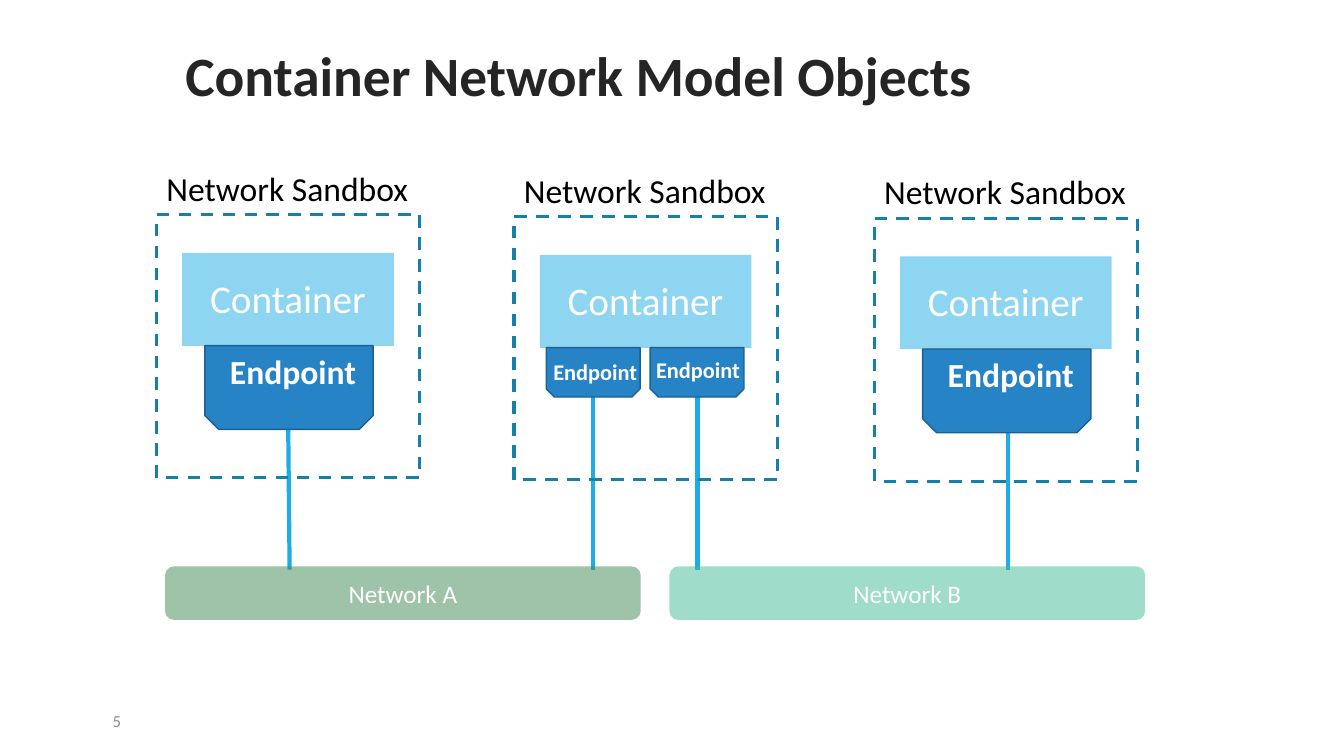
"""Build the slide on container network model objects."""
import dataclasses
import typing

import lxml.etree
import pptx
import pptx.dml.color
import pptx.enum.dml
import pptx.enum.shapes
import pptx.enum.text
import pptx.oxml.ns
import pptx.util

Pt = pptx.util.Pt
RGBColor = pptx.dml.color.RGBColor
Shape = pptx.enum.shapes.MSO_SHAPE
Align = pptx.enum.text.PP_ALIGN
Anchor = pptx.enum.text.MSO_ANCHOR

FONT = "Calibri"
WHITE = RGBColor(0xFF, 0xFF, 0xFF)
BLACK = RGBColor(0x00, 0x00, 0x00)
TITLE_INK = RGBColor(0x25, 0x25, 0x25)
NUMBER_INK = RGBColor(0x8C, 0x8C, 0x8C)
SKY = RGBColor(0x1C, 0xAD, 0xE4)
DASH_BLUE = RGBColor(0x15, 0x80, 0xA9)
ENDPOINT_BLUE = RGBColor(0x26, 0x83, 0xC6)
ENDPOINT_EDGE = RGBColor(0x1C, 0x61, 0x92)
GREEN = RGBColor(0x3E, 0x88, 0x53)
TEAL = RGBColor(0x42, 0xBA, 0x97)

SANDBOX_SIDE = 188
ENDPOINT_DROP = 93.5
LABEL_WIDTH = 126
WIRE_END = 406.8


@dataclasses.dataclass(frozen=True)
class Frame:
    """A rectangle in points."""
    left: float
    top: float
    width: float
    height: float

    def lengths(self) -> list[pptx.util.Length]:
        """Return the four lengths for a shape call."""
        return [Pt(value) for value in dataclasses.astuple(self)]


@dataclasses.dataclass(frozen=True)
class Style:
    """The look of a run and its place in the box."""
    size: float
    color: RGBColor = WHITE
    bold: bool = False
    align: Align = Align.CENTER
    anchor: Anchor = Anchor.MIDDLE
    spacing: float = 1.0


@dataclasses.dataclass(frozen=True)
class Endpoint:
    """An endpoint and its label, offset from the sandbox corner."""
    left: float
    width: float
    height: float
    label_left: float
    label_drop: float
    label_height: float
    size: float


@dataclasses.dataclass(frozen=True)
class Sandbox:
    """A sandbox corner with its endpoints."""
    left: float
    top: float
    endpoints: tuple[Endpoint, ...]


@dataclasses.dataclass(frozen=True)
class Wire:
    """A line from an endpoint to a network."""
    begin_left: float
    begin_top: float
    end_left: float


@dataclasses.dataclass(frozen=True)
class Network:
    """A network bar."""
    name: str
    left: float
    color: RGBColor


LARGE = Endpoint(34.5, 120.2, 59.8, 34.5, 0, 36, 24)
SMALL_LEFT = Endpoint(23, 67, 35.3, -5, 3.6, 26.6, 16)
SMALL_RIGHT = dataclasses.replace(
    SMALL_LEFT, left=97.2, label_left=68.4, label_drop=2.2)

SANDBOXES = (
    Sandbox(367.2, 154.8, (SMALL_LEFT, SMALL_RIGHT)),
    Sandbox(111.8, 153.4, (LARGE,)),
    Sandbox(624.5, 155.8, (LARGE,)),
)
WIRES = (
    Wire(720, 301, 720),
    Wire(205.9, 306.7, 206.9),
    Wire(423.6, 283.7, 423.6),
    Wire(498.2, 283.7, 498.2),
)
NETWORKS = (Network("Network A", 117.9, GREEN), Network("Network B", 478.2, TEAL))

TITLE = Style(39.6, TITLE_INK, bold=True, align=Align.LEFT, spacing=0.9)
NUMBER = Style(12, NUMBER_INK, align=Align.RIGHT)
SANDBOX_NAME = Style(24, BLACK, align=Align.LEFT, anchor=Anchor.TOP)
CONTAINER_NAME = Style(28, anchor=Anchor.TOP)
NETWORK_NAME = Style(18)


def write(box: typing.Any, text: str, style: Style) -> None:
    """Put one styled run into a box."""
    frame = box.text_frame
    frame.word_wrap = True
    frame.vertical_anchor = style.anchor
    para = frame.paragraphs[0]
    para.alignment = style.align
    para.line_spacing = style.spacing
    span = para.add_run()
    span.text = text
    span.font.name = FONT
    span.font.size = Pt(style.size)
    span.font.bold = style.bold
    span.font.color.rgb = style.color


def add_text(shapes: typing.Any, frame: Frame, text: str, style: Style) -> None:
    """Add a text box."""
    write(shapes.add_textbox(*frame.lengths()), text, style)


def add_block(shapes: typing.Any, kind: Shape, frame: Frame,
              fill: RGBColor | None = None, edge: RGBColor | None = None,
              edge_width: float = 1, opacity: int = 100) -> typing.Any:
    """Add a preset shape with optional fill and edge."""
    block = shapes.add_shape(kind, *frame.lengths())
    block.shadow.inherit = False
    if fill is None:
        block.fill.background()
    else:
        block.fill.solid()
        block.fill.fore_color.rgb = fill
        if opacity < 100:
            color = block.fill._xPr.find(".//" + pptx.oxml.ns.qn("a:srgbClr"))
            alpha = lxml.etree.SubElement(color, pptx.oxml.ns.qn("a:alpha"))
            alpha.set("val", str(opacity * 1000))
    if edge is None:
        block.line.fill.background()
    else:
        block.line.color.rgb = edge
        block.line.width = Pt(edge_width)
    return block


def add_wire(shapes: typing.Any, wire: Wire) -> None:
    """Add a straight line down to the networks."""
    line = shapes.add_connector(
        pptx.enum.shapes.MSO_CONNECTOR.STRAIGHT, Pt(wire.begin_left),
        Pt(wire.begin_top), Pt(wire.end_left), Pt(WIRE_END))
    line.line.color.rgb = SKY
    line.line.width = Pt(3)
    lxml.etree.SubElement(line._element.spPr, pptx.oxml.ns.qn("a:effectLst"))


def add_sandbox(shapes: typing.Any, sandbox: Sandbox) -> None:
    """Add a grouped sandbox with its container and endpoints."""
    group = shapes.add_group_shape().shapes
    left, top = sandbox.left, sandbox.top
    border = add_block(group, Shape.RECTANGLE,
                       Frame(left, top, SANDBOX_SIDE, SANDBOX_SIDE),
                       edge=DASH_BLUE, edge_width=2.25)
    border.line.dash_style = pptx.enum.dml.MSO_LINE.DASH
    add_block(group, Shape.RECTANGLE, Frame(left + 18.4, top + 27.3, 151.2, 66.4),
              fill=SKY, opacity=50)
    add_text(group, Frame(left, top - 37, 223, 36), "Network Sandbox", SANDBOX_NAME)
    add_text(group, Frame(left + 28, top + 39, 131.8, 41), "Container", CONTAINER_NAME)
    for endpoint in sandbox.endpoints:
        drop = top + ENDPOINT_DROP
        body = add_block(
            group, Shape.SNIP_2_SAME_RECTANGLE,
            Frame(left + endpoint.left, drop, endpoint.width, endpoint.height),
            fill=ENDPOINT_BLUE, edge=ENDPOINT_EDGE)
        body.rotation = 180
        add_text(group, Frame(left + endpoint.label_left, drop + endpoint.label_drop,
                              LABEL_WIDTH, endpoint.label_height),
                 "Endpoint", Style(endpoint.size, bold=True))


def main() -> None:
    """Draw the slide and save it."""
    deck = pptx.Presentation()
    deck.slide_width, deck.slide_height = Pt(960), Pt(540)
    page = deck.slides.add_slide(deck.slide_layouts[6])
    shapes = page.shapes
    add_text(shapes, Frame(125.3, 28.8, 768.2, 54), "Container Network Model Objects", TITLE)
    add_text(shapes, Frame(59.8, 500.4, 33.8, 28.8), "5", NUMBER)
    for wire in WIRES:
        add_wire(shapes, wire)
    for network in NETWORKS:
        bar = add_block(shapes, Shape.ROUNDED_RECTANGLE,
                        Frame(network.left, 404.6, 339.8, 38.2),
                        fill=network.color, opacity=50)
        write(bar, network.name, NETWORK_NAME)
    for sandbox in SANDBOXES:
        add_sandbox(shapes, sandbox)
    deck.save("out.pptx")


if __name__ == "__main__":
    main()
